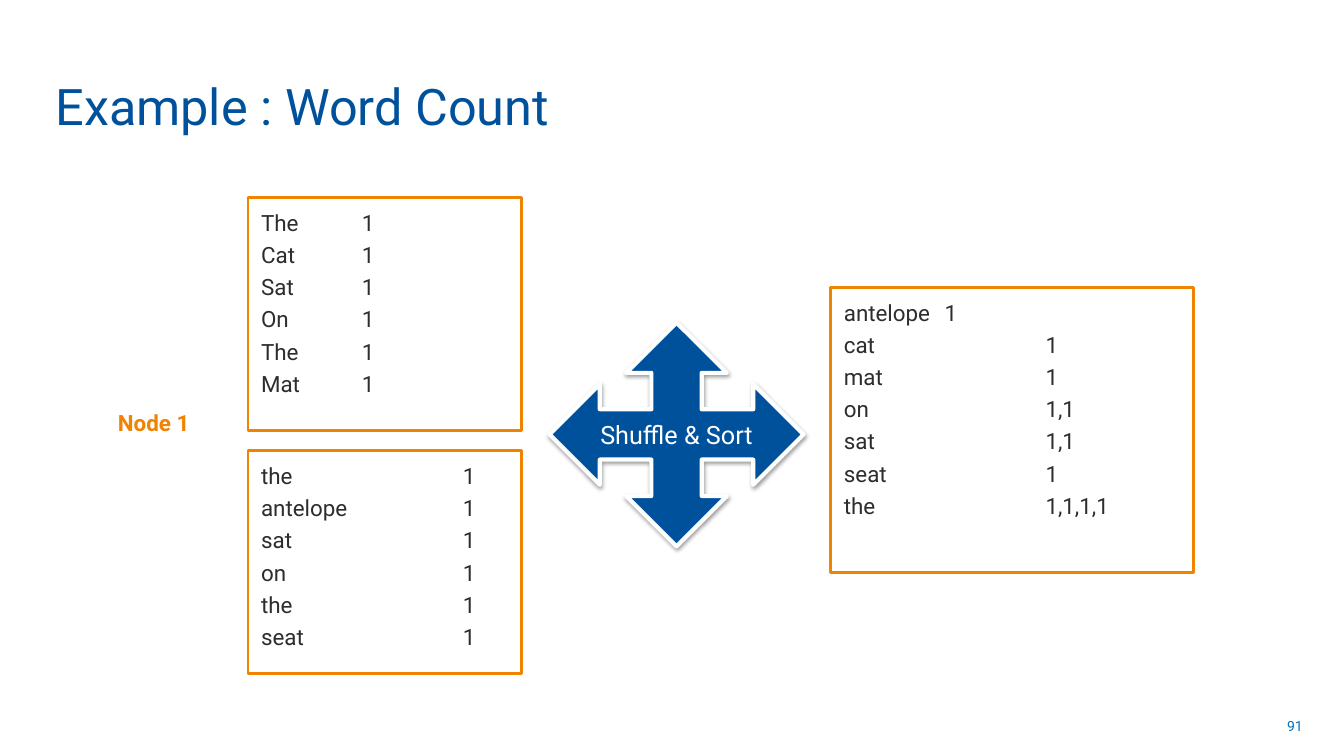
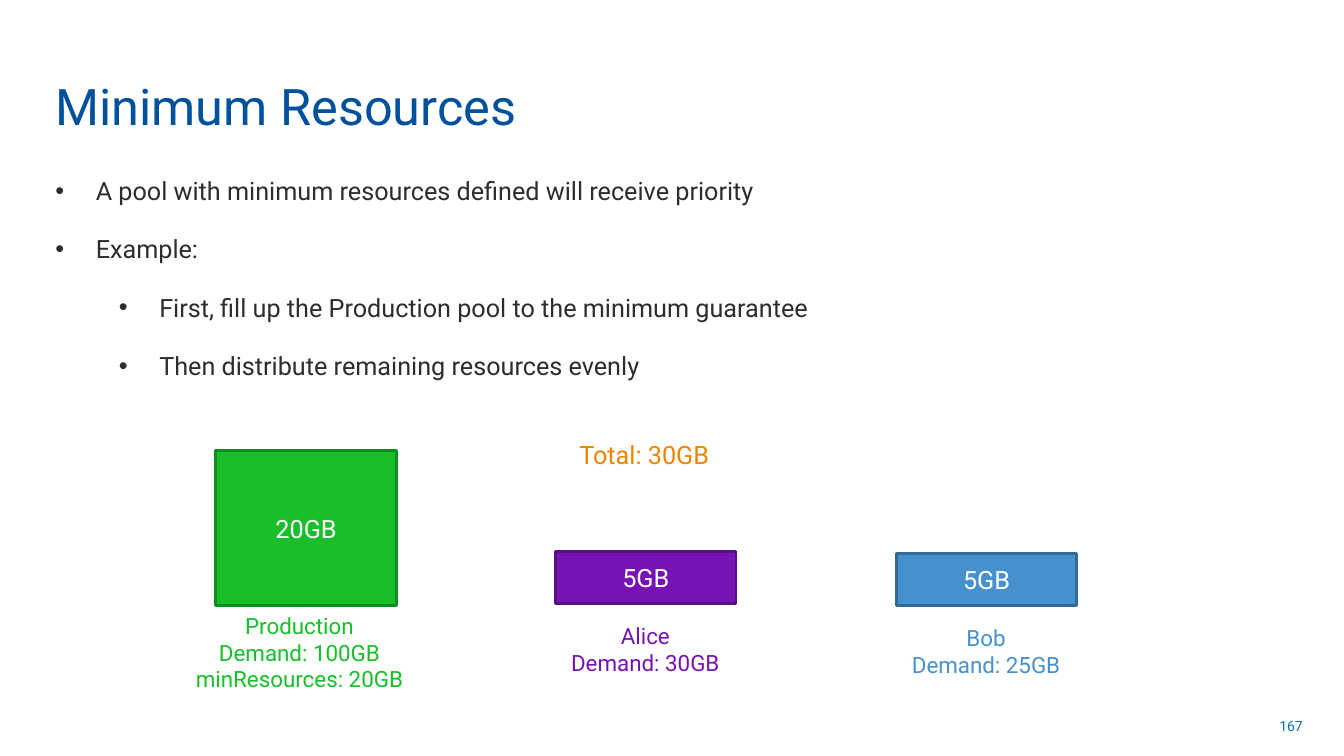
"""Build two training slides: a word count shuffle and minimum pool resources."""
from lxml import etree
from pptx import Presentation
from pptx import util as u
from pptx.dml.color import RGBColor
from pptx.enum import shapes, text
from pptx.oxml.ns import qn

PX = 9144
FONT = "Roboto"
COLORS = {
    "title": "00519C", "number": "0070C0", "body": "2E2D2C", "accent": "F08300",
    "white": "FFFFFF", "shadow": "000000",
    "production": "18BF2B", "production_edge": "128D20",
    "alice": "7713B2", "alice_edge": "580E84",
    "bob": "4591CE", "bob_edge": "336B98",
}
TITLE_BOX = (45, 14, 998, 126)
NUMBER_BOX = (991, 700, 311, 40)
BODY_BOX = (45, 169, 1247, 228)
INSETS = (13, 6)
TAB_STOPS = (100, 200)
BULLET_HANG = 40
BULLET_INDENTS = (40, 103)

WORD_BOXES = [
    ((246, 196, 271, 231), ["The\t1", "Cat\t1", "Sat\t1", "On\t1", "The\t1", "Mat\t1"]),
    ((246, 447, 271, 221),
     ["the\t\t1", "antelope\t\t1", "sat\t\t1", "on\t\t1", "the\t\t1", "seat\t\t1"]),
    ((824, 285, 360, 283),
     ["antelope\t1", "cat\t\t1", "mat\t\t1", "on\t\t1,1", "sat\t\t1,1", "seat\t\t1",
      "the\t\t1,1,1,1"]),
]
SHUFFLE_BOX = (545, 320, 252, 222)
NODE_BOX = (104, 400, 153, 40)

BULLETS = [
    (0, "A pool with minimum resources defined will receive priority"),
    (0, "Example:"),
    (1, "First, fill up the Production pool to the minimum guarantee"),
    (1, "Then distribute remaining resources evenly"),
]
TOTAL_BOX = (531, 430, 216, 43)
POOLS = [
    ("production", "20GB", (214, 447, 179, 154), (121, 601),
     ["Production", "Demand: 100GB", "minResources: 20GB"]),
    ("alice", "5GB", (551, 547, 179, 52), (464, 611), ["Alice", "Demand: 30GB"]),
    ("bob", "5GB", (889, 549, 179, 52), (802, 613), ["Bob", "Demand: 25GB"]),
]
CAPTION_WIDTH = 352
CAPTION_LINE = 27


def color(name):
    return RGBColor.from_string(COLORS[name])


def emu(box):
    return [length * PX for length in box]


def place(shape, box):
    shape.left, shape.top, shape.width, shape.height = emu(box)


def add_run(paragraph, words, size, ink, bold=None):
    run = paragraph.add_run()
    run.text = words
    run.font.name = FONT
    run.font.size = u.Pt(size)
    run.font.bold = bold
    run.font.color.rgb = color(ink)


def paragraphs(frame, lines):
    for index, line in enumerate(lines):
        yield (frame.add_paragraph() if index else frame.paragraphs[0]), line


def write(shape, lines, size, ink, align=text.PP_ALIGN.CENTER,
          anchor=text.MSO_ANCHOR.TOP, insets=INSETS, bold=None):
    frame = shape.text_frame
    frame.word_wrap = True
    frame.vertical_anchor = anchor
    if insets:
        frame.margin_left = frame.margin_right = insets[0] * PX
        frame.margin_top = frame.margin_bottom = insets[1] * PX
    for paragraph, line in paragraphs(frame, lines):
        paragraph.alignment = align
        add_run(paragraph, line, size, ink, bold)


def add_text(slide, box, lines, size, ink, **style):
    shape = slide.shapes.add_textbox(*emu(box))
    write(shape, lines, size, ink, **style)


def add_block(slide, kind, box, fill, edge, width):
    shape = slide.shapes.add_shape(kind, *emu(box))
    shape.shadow.inherit = False
    shape.fill.solid()
    shape.fill.fore_color.rgb = color(fill)
    shape.line.color.rgb = color(edge)
    shape.line.width = u.Pt(width)
    return shape


def add_shadow(shape):
    effects = shape._element.spPr.find(qn("a:effectLst"))
    shadow = etree.SubElement(
        effects, qn("a:outerShdw"), blurRad=str(u.Pt(3.1)), dist=str(u.Pt(1.6)),
        dir="5400000", algn="ctr", rotWithShape="0")
    tint = etree.SubElement(shadow, qn("a:srgbClr"), val=COLORS["shadow"])
    etree.SubElement(tint, qn("a:alpha"), val="38000")


def add_tabs(paragraph):
    stops = etree.SubElement(paragraph._p.get_or_add_pPr(), qn("a:tabLst"))
    for stop in TAB_STOPS:
        etree.SubElement(stops, qn("a:tab"), pos=str(stop * PX), algn="l")


def add_bullet(paragraph, level):
    properties = paragraph._p.get_or_add_pPr()
    properties.set("marL", str(BULLET_INDENTS[level] * PX))
    properties.set("indent", str(-BULLET_HANG * PX))
    tint = etree.SubElement(properties, qn("a:buClr"))
    etree.SubElement(tint, qn("a:srgbClr"), val=COLORS["body"])
    etree.SubElement(properties, qn("a:buFont"), typeface="Arial")
    etree.SubElement(properties, qn("a:buChar"), char="•")


def add_slide(presentation, layout, title, number):
    slide = presentation.slides.add_slide(presentation.slide_layouts[layout])
    place(slide.shapes.title, TITLE_BOX)
    slide.shapes.title.text_frame.auto_size = text.MSO_AUTO_SIZE.NONE
    write(slide.shapes.title, [title], 36, "title", align=text.PP_ALIGN.LEFT,
          anchor=text.MSO_ANCHOR.BOTTOM, insets=None)
    add_text(slide, NUMBER_BOX, [number], 10, "number", align=text.PP_ALIGN.RIGHT,
             anchor=text.MSO_ANCHOR.MIDDLE, insets=None)
    return slide


def build_word_count(presentation):
    slide = add_slide(presentation, 5, "Example : Word Count", "91")
    for box, lines in WORD_BOXES:
        shape = add_block(slide, shapes.MSO_SHAPE.RECTANGLE, box, "white", "accent", 2)
        write(shape, lines, 16, "body", align=text.PP_ALIGN.LEFT)
        for paragraph in shape.text_frame.paragraphs:
            add_tabs(paragraph)
            paragraph.line_spacing = 1.2
    arrow = add_block(slide, shapes.MSO_SHAPE.QUAD_ARROW, SHUFFLE_BOX, "title", "white", 3)
    add_shadow(arrow)
    write(arrow, ["Shuffle & Sort"], 18, "white", anchor=text.MSO_ANCHOR.MIDDLE)
    add_text(slide, NODE_BOX, ["Node 1"], 16, "accent", align=text.PP_ALIGN.LEFT, bold=True)


def build_minimum_resources(presentation):
    slide = add_slide(presentation, 1, "Minimum Resources", "167")
    body = slide.placeholders[1]
    place(body, BODY_BOX)
    body.text_frame.auto_size = text.MSO_AUTO_SIZE.NONE
    for paragraph, (level, words) in paragraphs(body.text_frame, BULLETS):
        paragraph.level = level
        add_bullet(paragraph, level)
        paragraph.space_before = u.Pt(0 if words == BULLETS[0][1] else 10)
        paragraph.space_after = u.Pt(10)
        add_run(paragraph, words, 18, "body")
    add_text(slide, TOTAL_BOX, ["Total: 30GB"], 18, "accent")
    for name, amount, box, (left, top), caption in POOLS:
        bar = add_block(slide, shapes.MSO_SHAPE.RECTANGLE, box, name, name + "_edge", 2)
        write(bar, [amount], 18, "white", anchor=text.MSO_ANCHOR.MIDDLE)
        height = 2 * INSETS[1] + CAPTION_LINE * len(caption)
        add_text(slide, (left, top, CAPTION_WIDTH, height), caption, 16, name)


def main():
    presentation = Presentation()
    presentation.slide_width, presentation.slide_height = emu((1333, 750))
    build_word_count(presentation)
    build_minimum_resources(presentation)
    presentation.save("out.pptx")


if __name__ == "__main__":
    main()
